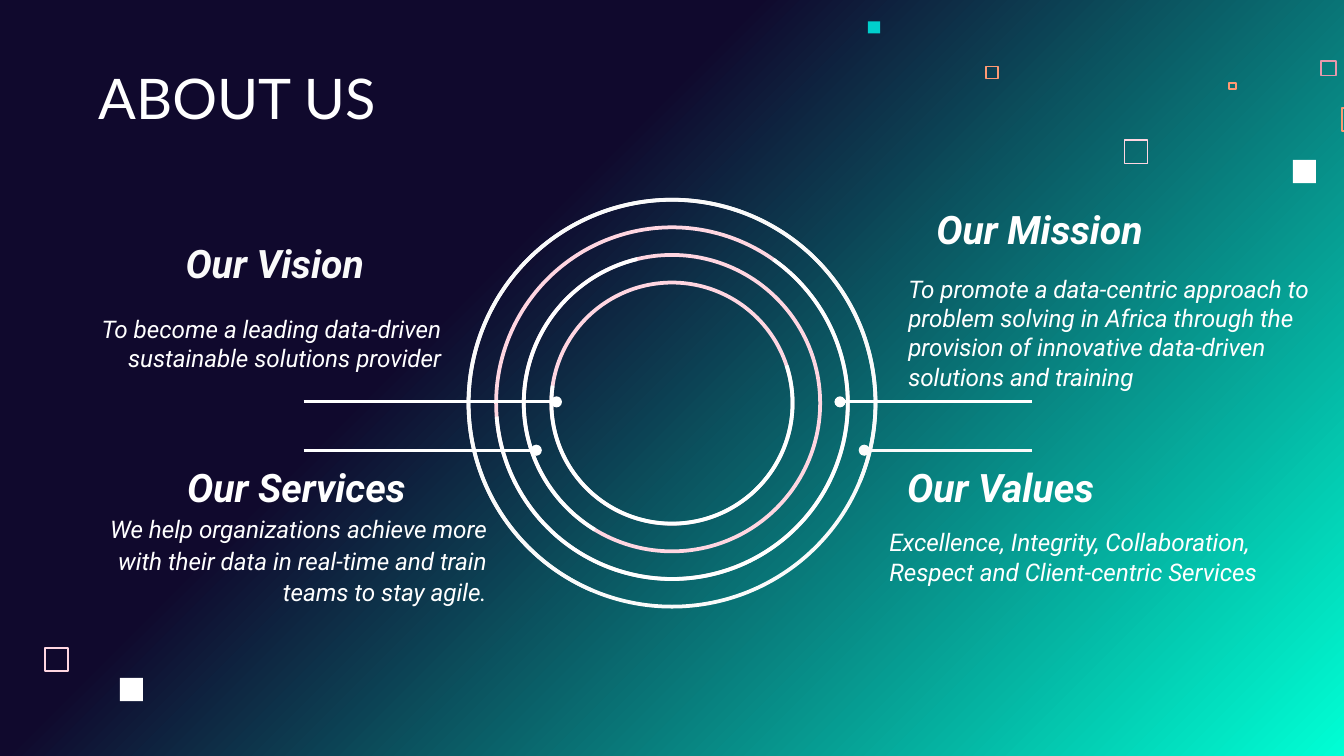
from copy import deepcopy
from pptx import Presentation
from pptx.dml.color import RGBColor
from pptx.enum.shapes import MSO_CONNECTOR as Link, MSO_SHAPE as Kind
from pptx.enum.text import MSO_ANCHOR as Anchor, MSO_AUTO_SIZE as Fit, PP_ALIGN as Align
from pptx.oxml.ns import qn
from pptx.util import Pt
from lxml.etree import SubElement

WHITE, PALE, PINK, CORAL, NIGHT = "FFFFFF", "FAFAFA", "FFD6E1", "FF9973", "10092D"


def paint(color, code):
    color.rgb = RGBColor.from_string(code)


def place(item, *box):
    item.left, item.top, item.width, item.height = map(Pt, box)


def grade(slide):
    fill = slide.background.fill
    fill.gradient()
    fill.gradient_angle = 315
    for stop, code, pos in zip(fill.gradient_stops, (NIGHT, "00FFD5"), (0, 1)):
        paint(stop.color, code)
        stop.position = pos
    first = slide.element.xpath(".//a:gs")[0]
    dark = deepcopy(first)
    dark.set("pos", "36000")
    first.addnext(dark)


def shape(slide, kind, box, fill=None, line=None, width=1):
    item = slide.shapes.add_shape(kind, *map(Pt, box))
    item.shadow.inherit = False
    if fill:
        item.fill.solid()
        paint(item.fill.fore_color, fill)
    else:
        item.fill.background()
    if line:
        paint(item.line.color, line)
        item.line.width = Pt(width)
    else:
        item.line.fill.background()
    return item


def square(slide, x, y, side, color, solid=False):
    if solid:
        shape(slide, Kind.RECTANGLE, (x, y, side, side), fill=color)
    else:
        inner = side - 1
        shape(slide, Kind.RECTANGLE, (x + 0.5, y + 0.5, inner, inner), line=color)


def ring(slide, rad, color):
    box = (360 - rad, 216 - rad, 2 * rad, 2 * rad)
    shape(slide, Kind.OVAL, box, line=color, width=2)


def arc(slide, rad, color, start, end, turn):
    edge = rad + 1
    box = (360 - edge, 216 - edge, 2 * edge, 2 * edge)
    item = shape(slide, Kind.BLOCK_ARC, box, fill=color)
    for i, val in enumerate((start * 0.6, end * 0.6, 1 / edge)):
        item.adjustments[i] = val
    item.rotation = turn


def pointer(slide, start, end, y, color):
    item = slide.shapes.add_connector(Link.STRAIGHT, Pt(start), Pt(y), Pt(end), Pt(y))
    paint(item.line.color, color)
    item.line.width = Pt(1.5)
    SubElement(item.line._get_or_add_ln(), qn("a:tailEnd"), type="oval")
    SubElement(item._element.spPr, qn("a:effectLst"))


def write(item, text, size, face, color=WHITE, align=Align.LEFT, anchor=Anchor.TOP,
          bold=False, italic=False, space=1.0):
    frame = item.text_frame
    frame.word_wrap = True
    frame.auto_size = Fit.NONE
    frame.vertical_anchor = anchor
    frame.margin_left = frame.margin_right = Pt(7.2)
    frame.margin_top = frame.margin_bottom = Pt(7.2)
    frame.text = text
    para = frame.paragraphs[0]
    para.alignment, para.line_spacing = align, space
    para.space_before = Pt(0)
    font = para.font
    font.size, font.name, font.bold, font.italic = Pt(size), face, bold, italic
    paint(font.color, color)


def topic(slide, head, spot, body, area, align, color=WHITE, space=1.0):
    item = slide.shapes.add_textbox(*map(Pt, spot))
    write(item, head, 21, "Roboto", color, Align.CENTER, bold=True, italic=True)
    item = slide.shapes.add_textbox(*map(Pt, area))
    write(item, body, 13, "Roboto", align=align, anchor=Anchor.BOTTOM,
          italic=True, space=space)


def main():
    deck = Presentation()
    deck.slide_width, deck.slide_height = Pt(720), Pt(405)
    slide = deck.slides.add_slide(deck.slide_layouts[5])
    grade(slide)

    title = slide.shapes.title
    place(title, 45.4, 26.6, 174.2, 51.1)
    write(title, "ABOUT US", 30, "Lato")

    for x, y, side, color, solid in (
        (601.9, 74.7, 13.4, PINK, False),
        (707.4, 32.3, 8.7, "E898AC", False),
        (658.1, 43.8, 4.4, CORAL, False),
        (718.4, 57.6, 13.2, CORAL, False),
        (692.6, 85.7, 12.4, WHITE, True),
        (527.8, 35.2, 7.4, CORAL, False),
        (465, 11.4, 6.5, "00CFCC", True),
        (23.8, 346.5, 13.4, PINK, False),
        (64.2, 363.2, 12.4, WHITE, True),
    ):
        square(slide, x, y, side, color, solid)

    arcs = (
        (PALE, PALE, 263.2, 172.7, 210),
        (PINK, WHITE, 305.2, 175.6, 0),
        (PINK, WHITE, 40.2, 175.2, 81.2),
        (PINK, WHITE, 328.7, 175.2, 13.1),
    )
    for i, (base, tint, start, end, turn) in enumerate(arcs):
        rad = 109 - 14.8 * i
        ring(slide, rad, base)
        arc(slide, rad, tint, start, end, turn)

    for start, end, y, color in (
        (162.7, 298.1, 215.3, WHITE),
        (162.7, 287.3, 241.2, WHITE),
        (553, 450, 215.3, WHITE),
        (553, 463, 241.2, PALE),
    ):
        pointer(slide, start, end, y, color)

    topic(slide, "Our Vision", (55.4, 121, 183.6, 45.4),
          "To become a leading data-driven sustainable solutions provider",
          (31.7, 148.3, 211.7, 58.3), Align.RIGHT, PALE)
    topic(slide, "Our Services", (68.4, 241.2, 180.7, 34.6),
          "We help organizations achieve more with their data in real-time "
          "and train teams to stay agile.",
          (41, 267.8, 226.8, 64.1), Align.RIGHT, space=1.07)
    topic(slide, "Our Mission", (481.7, 103, 150.5, 45.4),
          "To promote a data-centric approach to problem solving in Africa "
          "through the provision of innovative data-driven solutions and training",
          (479.5, 141.8, 239.8, 74.9), Align.LEFT)
    topic(slide, "Our Values", (444.2, 241.2, 183.6, 45.4),
          "Excellence, Integrity, Collaboration, Respect and Client-centric Services",
          (469.4, 262.8, 235.4, 58.3), Align.LEFT)
    deck.save("out.pptx")


if __name__ == "__main__":
    main()
